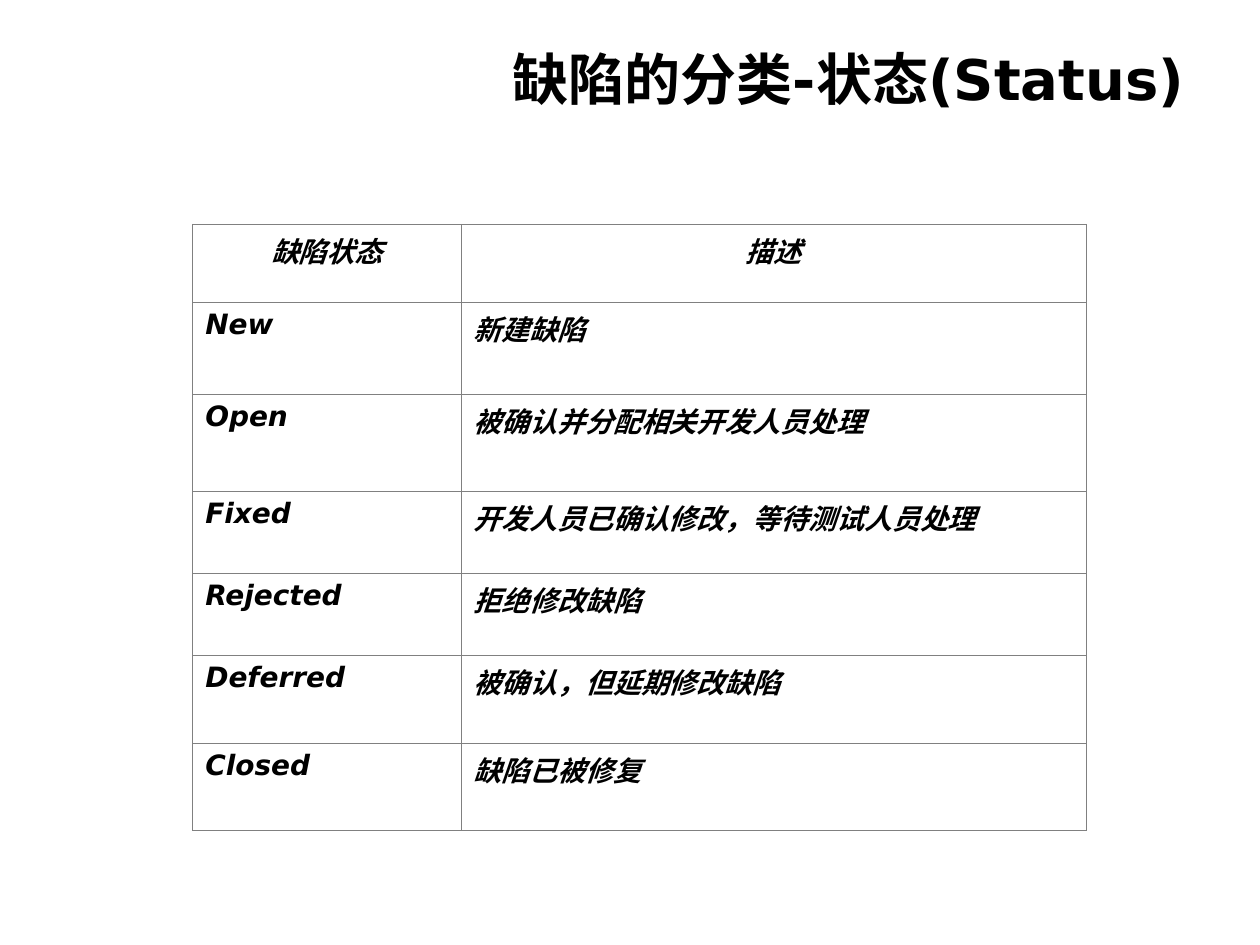
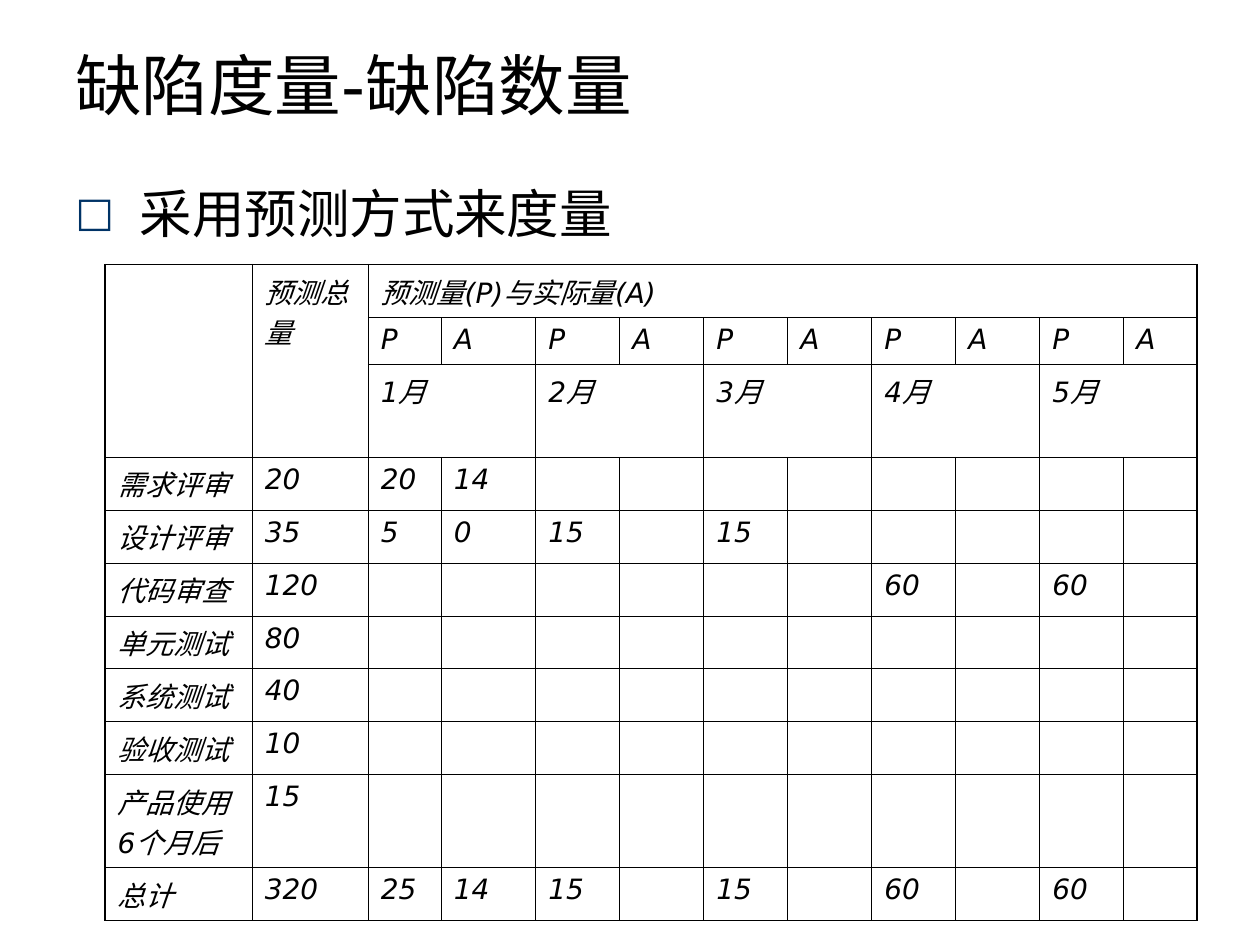
from dataclasses import dataclass

from lxml import etree
from pptx import Presentation
from pptx import util as u
from pptx.dml.color import RGBColor
from pptx.enum import text as tx
from pptx.oxml import ns

FONT = "DejaVu Sans"
HUES = {"ink": "000000", "grid": "808080", "mark": "003366", "page": "FFFFFF"}
THIN, BOLD = 0.45, 1.08
SIZE = 16  # table text, in points
PLAIN = "{2D5ABB26-0587-4C30-8999-92F81FD0307C}"  # table style without lines


@dataclass
class Grid:
    left: float
    top: float
    cols: list[float]
    rows: list[float]
    cells: list[list[str]]
    hue: str
    rim: float = THIN
    bold: bool = False
    head: bool = False
    spans: tuple[tuple[int, int, int, int], ...] = ()


def write(frame, words: str, size: float = SIZE, bold: bool = False,
          slant: bool = False, align=tx.PP_ALIGN.LEFT):
    frame.word_wrap = True
    para = frame.paragraphs[0]
    para.alignment = align
    if not words:
        # An empty cell needs its own text size to keep the row low
        end = etree.SubElement(para._p, ns.qn("a:endParaRPr"))
        end.set("sz", str(int(size * 100)))
        return para
    run = para.add_run()
    run.text = words
    font = run.font
    font.name, font.size = FONT, u.Pt(size)
    font.bold, font.italic = bold, slant
    font.color.rgb = RGBColor.from_string(HUES["ink"])
    return para


def box(slide, left: float, top: float, wide: float, high: float,
        words: str, **form):
    shape = slide.shapes.add_textbox(*map(u.Inches, (left, top, wide, high)))
    shape.text_frame.vertical_anchor = tx.MSO_ANCHOR.TOP
    return write(shape.text_frame, words, **form)


def title(slide, words: str, **form) -> None:
    box(slide, 0.5, 0.3, 9, 1.25, words, **form)


def bullet(para) -> None:
    """Give the paragraph a hollow square with a hanging indent."""
    props = para._p.get_or_add_pPr()
    props.set("marL", str(u.Inches(0.51)))
    props.set("indent", str(-u.Inches(0.51)))
    hue = etree.SubElement(props, ns.qn("a:buClr"))
    etree.SubElement(hue, ns.qn("a:srgbClr"), val=HUES["mark"])
    etree.SubElement(props, ns.qn("a:buSzPct"), val="78000")
    etree.SubElement(props, ns.qn("a:buFont"), typeface=FONT)
    etree.SubElement(props, ns.qn("a:buChar"), char="□")


def edge(cell, side: str, hue: str, width: float) -> None:
    line = etree.SubElement(cell._tc.get_or_add_tcPr(), ns.qn(f"a:ln{side}"),
                            w=str(u.Pt(width)))
    fill = etree.SubElement(line, ns.qn("a:solidFill"))
    etree.SubElement(fill, ns.qn("a:srgbClr"), val=HUES[hue])


def draw(slide, grid: Grid) -> None:
    high, wide = len(grid.rows), len(grid.cols)
    table = slide.shapes.add_table(
        high, wide, u.Inches(grid.left), u.Inches(grid.top),
        u.Inches(sum(grid.cols)), u.Inches(sum(grid.rows))).table
    table.first_row = table.horz_banding = False
    table._tbl.tblPr.find(ns.qn("a:tableStyleId")).text = PLAIN
    for col, size in zip(table.columns, grid.cols):
        col.width = u.Inches(size)
    for row, size in zip(table.rows, grid.rows):
        row.height = u.Inches(size)
    sizes = {(r, c): (down, over) for r, c, down, over in grid.spans}
    for r in range(high):
        for c in range(wide):
            cell = table.cell(r, c)
            words = grid.cells[r][c] if c < len(grid.cells[r]) else ""
            mid = grid.head and r == 0
            write(cell.text_frame, words, bold=grid.bold, slant=True,
                  align=tx.PP_ALIGN.CENTER if mid else tx.PP_ALIGN.LEFT)
            down, over = sizes.get((r, c), (1, 1))
            outer = {"L": c == 0, "R": c + over == wide,
                     "T": r == 0, "B": r + down == high}
            for side, rim in outer.items():
                edge(cell, side, grid.hue, grid.rim if rim else THIN)
            cell.fill.background()
    for (r, c), (down, over) in sizes.items():
        table.cell(r, c).merge(table.cell(r + down - 1, c + over - 1))


STATES = Grid(
    1.53, 1.78, [2.13, 4.96], [0.62, 0.73, 0.77, 0.65, 0.65, 0.7, 0.69],
    [["缺陷状态", "描述"],
     ["New", "新建缺陷"],
     ["Open", "被确认并分配相关开发人员处理"],
     ["Fixed", "开发人员已确认修改，等待测试人员处理"],
     ["Rejected", "拒绝修改缺陷"],
     ["Deferred", "被确认，但延期修改缺陷"],
     ["Closed", "缺陷已被修复"]],
    hue="grid", bold=True, head=True)

MONTHS = range(1, 6)
COUNTS = Grid(
    5 / 6, 2.1, [1.17, 0.92, 0.58, 0.75] + [2 / 3] * 7 + [0.58],
    [0.42, 0.37, 0.74] + [0.42] * 6 + [0.74, 0.42],
    [["", "预测总量", "预测量(P)与实际量(A)"],
     ["", ""] + ["P", "A"] * len(MONTHS),
     ["", ""] + [word for m in MONTHS for word in (f"{m}月", "")],
     ["需求评审", "20", "20", "14"],
     ["设计评审", "35", "5", "0", "15", "", "15"],
     ["代码审查", "120", "", "", "", "", "", "", "60", "", "60"],
     ["单元测试", "80"],
     ["系统测试", "40"],
     ["验收测试", "10"],
     ["产品使用6个月后", "15"],
     ["总计", "320", "25", "14", "15", "", "15", "", "60", "", "60"]],
    hue="ink", rim=BOLD,
    spans=((0, 0, 3, 1), (0, 1, 3, 1), (0, 2, 1, 10),
           *((2, 2 * m, 1, 2) for m in MONTHS)))


def page(deck):
    slide = deck.slides.add_slide(deck.slide_layouts[6])
    fill = slide.background.fill
    fill.solid()
    fill.fore_color.rgb = RGBColor.from_string(HUES["page"])
    return slide


def main() -> None:
    deck = Presentation()
    deck.slide_width, deck.slide_height = u.Inches(10), u.Inches(7.5)

    slide = page(deck)
    title(slide, "缺陷的分类-状态(Status)", size=32, bold=True,
          align=tx.PP_ALIGN.RIGHT)
    draw(slide, STATES)

    slide = page(deck)
    title(slide, "缺陷度量-缺陷数量", size=38)
    bullet(box(slide, 0.5, 1.39, 9, 4.95, "采用预测方式来度量", size=30))
    draw(slide, COUNTS)

    deck.save("out.pptx")


if __name__ == "__main__":
    main()
